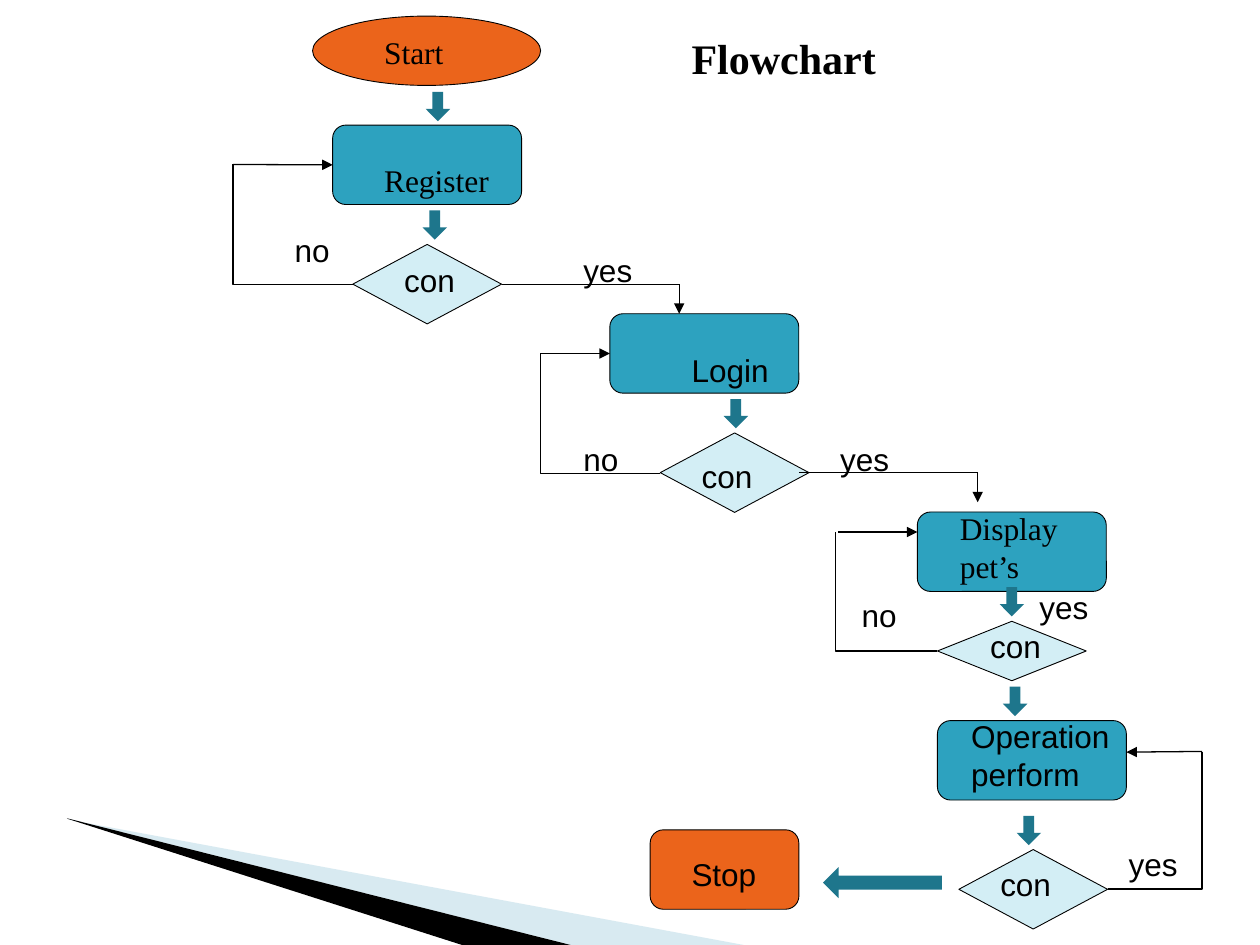
from lxml import etree
from pptx import Presentation
from pptx.dml.color import RGBColor
from pptx.enum.shapes import MSO_CONNECTOR, MSO_SHAPE
from pptx.oxml.ns import qn
from pptx.util import Pt

STRAIGHT, ELBOW = MSO_CONNECTOR.STRAIGHT, MSO_CONNECTOR.ELBOW
ELLIPSE, DIAMOND = MSO_SHAPE.OVAL, MSO_SHAPE.DIAMOND
ROUNDED = MSO_SHAPE.ROUNDED_RECTANGLE
DOWN_ARROW, LEFT_ARROW = MSO_SHAPE.DOWN_ARROW, MSO_SHAPE.LEFT_ARROW
LEFT_SIDE, RIGHT_SIDE = 1, 3

SERIF, SANS = "Times New Roman", "Arial"
BLACK, ORANGE, TEAL = "000000", "EB641B", "2DA2BF"
DARK_TEAL, PALE_TEAL, PALE_BLUE = "1E768C", "D3EEF5", "9FCBDC"

BOX_WIDTH, DIAMOND_WIDTH, NODE_HEIGHT = 108, 85, 45.4

# left, top, width, height, text, font
LABELS = [
    (212.4, 15.1, 62.6, 28.8, "Start", SERIF),
    (212.4, 88.6, 96.5, 28.8, "Register", SERIF),
    (388.1, 197.3, 108, 28.8, "Login", SANS),
    (541.4, 287.3, 96.5, 50.4, "Display pet’s", SERIF),
    (547.9, 406.1, 108, 50.4, "Operation perform", SANS),
    (388.1, 485.3, 62.6, 28.8, "Stop", SANS),
]
CONDITION_LABELS = [
    ("con", [(223.9, 145.4), (393.8, 257.8), (558.7, 355), (564.5, 491)]),
    ("yes", [(326.2, 139.7), (473, 247.7), (586.8, 332.6), (637.9, 479.5)]),
    ("no", [(161.3, 128.2), (326.2, 247.7), (485.3, 337)]),
]


def color(hex_string):
    return RGBColor.from_string(hex_string)


def add_node(slide, kind, left, top, width, height, fill):
    shape = slide.shapes.add_shape(kind, Pt(left), Pt(top), Pt(width), Pt(height))
    shape.shadow.inherit = False
    shape.fill.solid()
    shape.fill.fore_color.rgb = color(fill)
    shape.line.color.rgb = color(BLACK)
    shape.line.width = Pt(0.5)
    return shape


def add_block_arrow(slide, kind, left, top, width, height):
    shape = add_node(slide, kind, left, top, width, height, TEAL)
    shape.line.color.rgb = color(DARK_TEAL)
    shape.line.width = Pt(4.34)
    miter = etree.SubElement(shape.line._get_or_add_ln(), qn("a:miter"))
    miter.set("lim", "800000")


def add_connector(slide, kind, start, end, arrow=False):
    connector = slide.shapes.add_connector(
        kind, *(Pt(value) for value in (*start, *end)))
    connector.line.color.rgb = color(BLACK)
    connector.line.width = Pt(0.75)
    properties = connector._element.spPr
    if arrow:
        tail = etree.SubElement(connector.line._get_or_add_ln(), qn("a:tailEnd"))
        tail.set("type", "triangle")
    if kind == ELBOW:
        properties.find(qn("a:prstGeom")).set("prst", "bentConnector2")
    etree.SubElement(properties, qn("a:effectLst"))
    return connector


def add_text(slide, left, top, width, height, text, font, size=18, bold=False):
    box = slide.shapes.add_textbox(Pt(left), Pt(top), Pt(width), Pt(height))
    box.text_frame.word_wrap = True
    paragraph = box.text_frame.paragraphs[0]
    paragraph.text = text
    paragraph.font.name = font
    paragraph.font.size = Pt(size)
    paragraph.font.bold = bold
    paragraph.font.color.rgb = color(BLACK)


def add_wedge(slide, points, fill, opacity=100):
    corners = [(Pt(x), Pt(y)) for x, y in points]
    builder = slide.shapes.build_freeform(*corners[0])
    builder.add_line_segments(corners[1:])
    shape = builder.convert_to_shape()
    shape.shadow.inherit = False
    shape.fill.solid()
    shape.fill.fore_color.rgb = color(fill)
    shape.line.fill.background()
    if opacity < 100:
        fill_color = shape._element.spPr.find(qn("a:solidFill"))[0]
        alpha = etree.SubElement(fill_color, qn("a:alpha"))
        alpha.set("val", str(opacity * 1000))


def add_connectors(slide, register, login, register_check):
    # Retry loops: each elbow leaves a diamond sideways and turns up to its box.
    for start, end in [((201.6, 162.4), (133.2, 94)),
                       ((377.3, 270.4), (308.9, 202)),
                       ((535.7, 372), (477.4, 304)),
                       ((633, 508), (686.9, 429.8))]:
        add_connector(slide, ELBOW, start, end)
    add_connector(slide, STRAIGHT, (133.2, 94), (190.1, 94),
                  arrow=True).end_connect(register, LEFT_SIDE)
    add_connector(slide, STRAIGHT, (308.9, 202), (348.5, 202),
                  arrow=True).end_connect(login, LEFT_SIDE)
    add_connector(slide, STRAIGHT, (478.8, 304), (524.2, 304), arrow=True)
    add_connector(slide, STRAIGHT, (686.9, 429.4), (643.7, 429.8), arrow=True)

    # Success paths to the next box.
    add_connector(slide, STRAIGHT, (286.6, 162.4),
                  (388.1, 162.4)).begin_connect(register_check, RIGHT_SIDE)
    add_connector(slide, STRAIGHT, (388.1, 162.4), (388.1, 179.3), arrow=True)
    add_connector(slide, STRAIGHT, (456.5, 270), (558.7, 270))
    add_connector(slide, STRAIGHT, (558.7, 270), (558.7, 287), arrow=True)


def main():
    presentation = Presentation()
    presentation.slide_width, presentation.slide_height = Pt(720), Pt(540)
    slide = presentation.slides.add_slide(presentation.slide_layouts[6])

    add_wedge(slide, [(39.6, 468.5), (425, 540), (326, 540), (39.6, 468)],
              PALE_BLUE, opacity=40)
    add_wedge(slide, [(38.2, 467.6), (326, 540), (264, 540), (38.9, 468)], BLACK)

    add_node(slide, ELLIPSE, 178.6, 9.2, 130.3, 39.6, ORANGE)
    register_check, *_ = [
        add_node(slide, DIAMOND, left, top, DIAMOND_WIDTH, height, PALE_TEAL)
        for left, top, height in [(201.6, 139.7, NODE_HEIGHT),
                                  (377.3, 247.4, NODE_HEIGHT),
                                  (535.7, 355, 34),
                                  (547.9, 485.5, NODE_HEIGHT)]]
    add_node(slide, ROUNDED, 371.5, 474.2, DIAMOND_WIDTH, NODE_HEIGHT, ORANGE)
    register, login, *_ = [
        add_node(slide, ROUNDED, left, top, BOX_WIDTH, NODE_HEIGHT, TEAL)
        for left, top in [(190.1, 71.5), (348.5, 179.3),
                          (524.2, 292.6), (535.7, 411.8)]]

    for left, top in [(248.4, 54.7), (246.6, 122.4), (418.7, 230.2),
                      (576.4, 337.7), (578.2, 394.6), (586.1, 468.4)]:
        add_block_arrow(slide, DOWN_ARROW, left, top, 3.6, 11.5)
    add_block_arrow(slide, LEFT_ARROW, 473.4, 500.8, 62.6, 7.2)

    for label in LABELS:
        add_text(slide, *label)
    add_connectors(slide, register, login, register_check)
    for text, places in CONDITION_LABELS:
        for left, top in places:
            add_text(slide, left, top, 51, 28.8, text, SANS)
    add_text(slide, 388.1, 15.1, 215.3, 36, "Flowchart", SERIF, size=24, bold=True)

    presentation.save("out.pptx")


if __name__ == "__main__":
    main()
